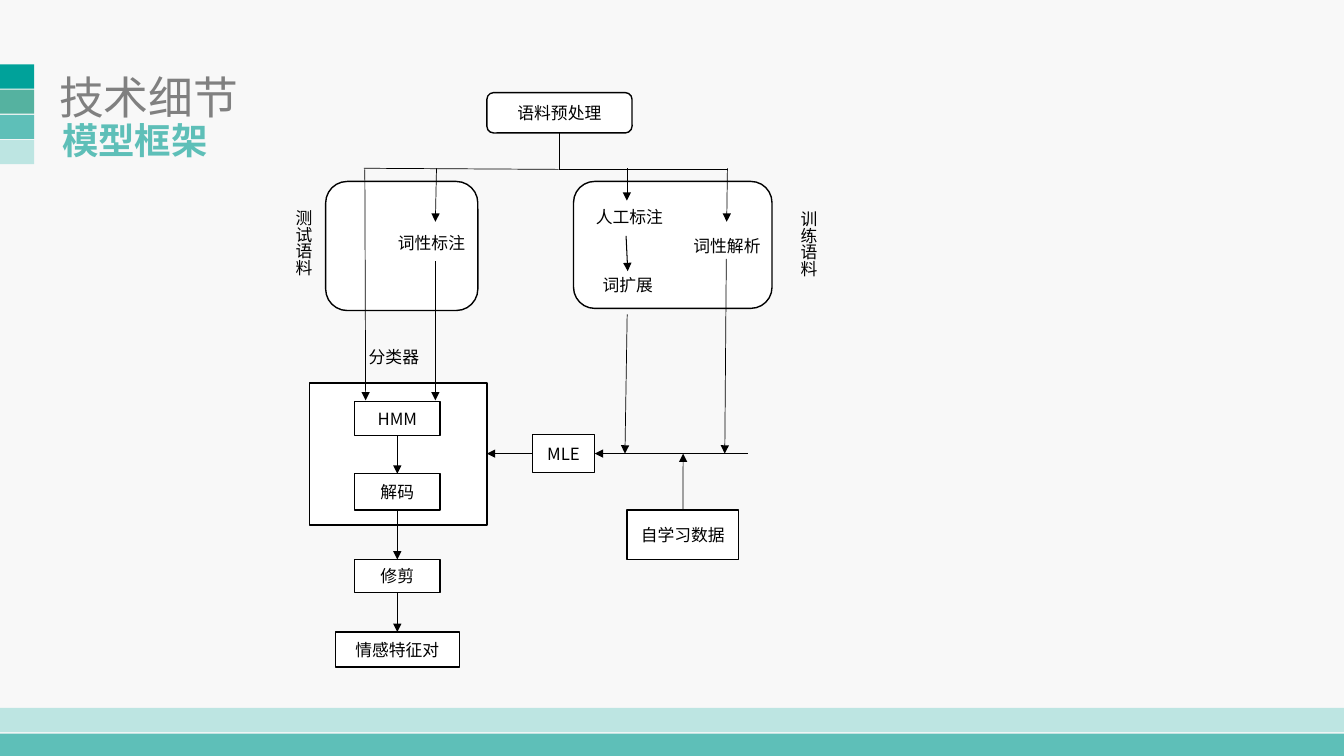
"""Build the slide that shows the framework of the tagging model."""
from dataclasses import dataclass
from typing import Optional

from lxml.etree import SubElement
from pptx import Presentation
from pptx.dml.color import RGBColor
from pptx.enum.shapes import MSO_CONNECTOR, MSO_SHAPE
from pptx.enum.text import MSO_ANCHOR as Anchor, PP_ALIGN as Align
from pptx.oxml.ns import qn
from pptx.util import Pt

FONT = "Noto Sans CJK SC"
BLACK = RGBColor(0x00, 0x00, 0x00)
WHITE = RGBColor(0xFF, 0xFF, 0xFF)
PAPER = RGBColor(0xF8, 0xF8, 0xF8)
GRAY = RGBColor(0x80, 0x80, 0x80)
DEEP_TEAL = RGBColor(0x00, 0xA2, 0x9A)
GREEN_TEAL = RGBColor(0x55, 0xB2, 0xA0)
TEAL = RGBColor(0x5E, 0xBF, 0xB8)
PALE_TEAL = RGBColor(0xBD, 0xE5, 0xE2)

RECT, ROUND = MSO_SHAPE.RECTANGLE, MSO_SHAPE.ROUNDED_RECTANGLE
LABEL_FORMAT = {"size": Pt(12), "bold": False}
TITLE_FORMAT = {"size": Pt(32), "bold": False}
SUBTITLE_FORMAT = {"size": Pt(26), "bold": True}


@dataclass(frozen=True)
class Area:
    left: float
    top: float
    width: float
    height: float

    def lengths(self) -> tuple:
        return tuple(Pt(value) for value in (self.left, self.top, self.width, self.height))


@dataclass(frozen=True)
class Node:
    area: Area
    words: str = ""
    outline: int = RECT


@dataclass(frozen=True)
class Label:
    words: str
    area: Area
    vertical: bool = False


@dataclass(frozen=True)
class Line:
    start: tuple[float, float]
    end: tuple[float, float]
    arrow: bool = True
    weight: float = 0.5


STRIPES = [DEEP_TEAL, GREEN_TEAL, TEAL, PALE_TEAL]
FOOTERS = [PALE_TEAL, TEAL]

NODES = [
    Node(Area(347.8, 66.2, 103.7, 28.8), "语料预处理", ROUND),
    Node(Area(232.6, 129.6, 108.7, 92.2), outline=ROUND),
    Node(Area(409.7, 129.6, 141.8, 90.7), outline=ROUND),
    Node(Area(221, 273.6, 126.8, 101.5)),
    Node(Area(253.2, 286.6, 61.2, 24.5), "HMM"),
    Node(Area(253.2, 338.4, 61.2, 25.9), "解码"),
    Node(Area(253.2, 399.6, 61.2, 23.8), "修剪"),
    Node(Area(239.5, 451.4, 88.6, 25.2), "情感特征对"),
    Node(Area(380.2, 310.3, 44.6, 27.4), "MLE"),
    Node(Area(447.8, 364.3, 79.9, 35.3), "自学习数据"),
]

LABELS = [
    Label("词性标注", Area(277.2, 162.7, 67.7, 21.6)),
    Label("分类器", Area(256.3, 244.1, 54.7, 21.6)),
    Label("人工标注", Area(418.5, 144, 66.2, 21.6)),
    Label("词性解析", Area(488.2, 164.9, 63.4, 21.6)),
    Label("词扩展", Area(423.4, 193, 66.2, 21.6)),
    Label("测试语料", Area(198.7, 142.6, 28.8, 77), True),
    Label("训练语料", Area(559.4, 143.3, 28.8, 80.6), True),
]

LINES = [
    Line((399.6, 95), (399.6, 120.6), arrow=False),
    Line((399, 121), (260, 120.2), arrow=False),
    Line((399.6, 121), (519.4, 121), arrow=False),
    Line((311.8, 120.2), (311, 158.4)),
    Line((260.6, 121), (261.2, 286)),
    Line((311, 186.5), (311, 286)),
    Line((447.8, 120.2), (447.8, 143.3)),
    Line((447.2, 168.5), (448.4, 193.7), weight=0.75),
    Line((448, 224.6), (446.4, 324)),
    Line((519.6, 120.2), (519.1, 158.4)),
    Line((518.8, 185), (517.7, 324)),
    Line((534.2, 324), (424.8, 324)),
    Line((380.2, 324), (347.8, 324)),
    Line((487.8, 364.3), (488, 324)),
    Line((283.8, 311.1), (283.8, 338.4)),
    Line((283.8, 364.3), (283.8, 399.6)),
    Line((283.8, 423.4), (283.8, 451.4)),
]


def write(box, words: str, formats: dict, color: RGBColor, align: Align, spacing: Optional[int] = None):
    para = box.text_frame.paragraphs[0]
    para.alignment = align
    span = para.add_run()
    span.text = words
    span.font.color.rgb = color
    span.font.name = FONT
    for name, value in formats.items():
        setattr(span.font, name, value)
    properties = span.font._element
    SubElement(properties, qn("a:ea"), typeface=FONT)
    if spacing is not None:
        properties.set("spc", str(spacing))
    return para


def place(box, area: Area) -> None:
    for name, value in zip(("left", "top", "width", "height"), area.lengths()):
        setattr(box, name, value)


def draw_band(page, area: Area, color: RGBColor) -> None:
    band = page.shapes.add_shape(RECT, *area.lengths())
    band.shadow.inherit = False
    band.fill.solid()
    band.fill.fore_color.rgb = color
    band.line.fill.background()


def draw_node(page, node: Node) -> None:
    box = page.shapes.add_shape(node.outline, *node.area.lengths())
    box.shadow.inherit = False
    box.fill.solid()
    box.fill.fore_color.rgb = WHITE
    box.line.color.rgb = BLACK
    box.line.width = Pt(1)
    if node.words:
        box.text_frame.vertical_anchor = Anchor.MIDDLE
        write(box, node.words, LABEL_FORMAT, BLACK, Align.CENTER)


def draw_label(page, label: Label) -> None:
    box = page.shapes.add_textbox(*label.area.lengths())
    box.text_frame.word_wrap = True
    if label.vertical:
        box.text_frame._txBody.bodyPr.set("vert", "eaVert")
    write(box, label.words, LABEL_FORMAT, BLACK, Align.LEFT)


def draw_line(page, line: Line) -> None:
    points = (Pt(value) for value in line.start + line.end)
    connector = page.shapes.add_connector(MSO_CONNECTOR.STRAIGHT, *points)
    connector.line.color.rgb = BLACK
    connector.line.width = Pt(line.weight)
    if line.arrow:
        SubElement(connector.line._get_or_add_ln(), qn("a:tailEnd"), type="triangle")
    SubElement(connector._element.spPr, qn("a:effectLst"))


def write_headings(page) -> None:
    title, subtitle = page.shapes.title, page.placeholders[1]
    place(title, Area(27.4, 52.6, 157.7, 38.9))
    title.text_frame.vertical_anchor = Anchor.BOTTOM
    write(title, "技术细节", TITLE_FORMAT, GRAY, Align.CENTER, -10)
    place(subtitle, Area(37.4, 84, 148.3, 39.6))
    subtitle.text_frame.vertical_anchor = Anchor.TOP
    para = write(subtitle, "模型框架", SUBTITLE_FORMAT, TEAL, Align.LEFT, -10)
    para.line_spacing = 0.9
    para.space_before = Pt(0)
    properties = para._p.get_or_add_pPr()
    properties.set("marL", "0")
    properties.set("indent", "0")
    SubElement(properties, qn("a:buNone"))


def main() -> None:
    deck = Presentation()
    deck.slide_width, deck.slide_height = Pt(960), Pt(540)
    page = deck.slides.add_slide(deck.slide_layouts[1])
    page.background.fill.solid()
    page.background.fill.fore_color.rgb = PAPER
    for index, color in enumerate(STRIPES):
        draw_band(page, Area(0, 46 + 18 * index, 24.5, 17.3), color)
    for index, color in enumerate(FOOTERS):
        draw_band(page, Area(0, 505.6 + 18.4 * index, 960, 17.4 if index == 0 else 16), color)
    for node in NODES:
        draw_node(page, node)
    for line in LINES:
        draw_line(page, line)
    for label in LABELS:
        draw_label(page, label)
    write_headings(page)
    deck.save("out.pptx")


if __name__ == "__main__":
    main()
